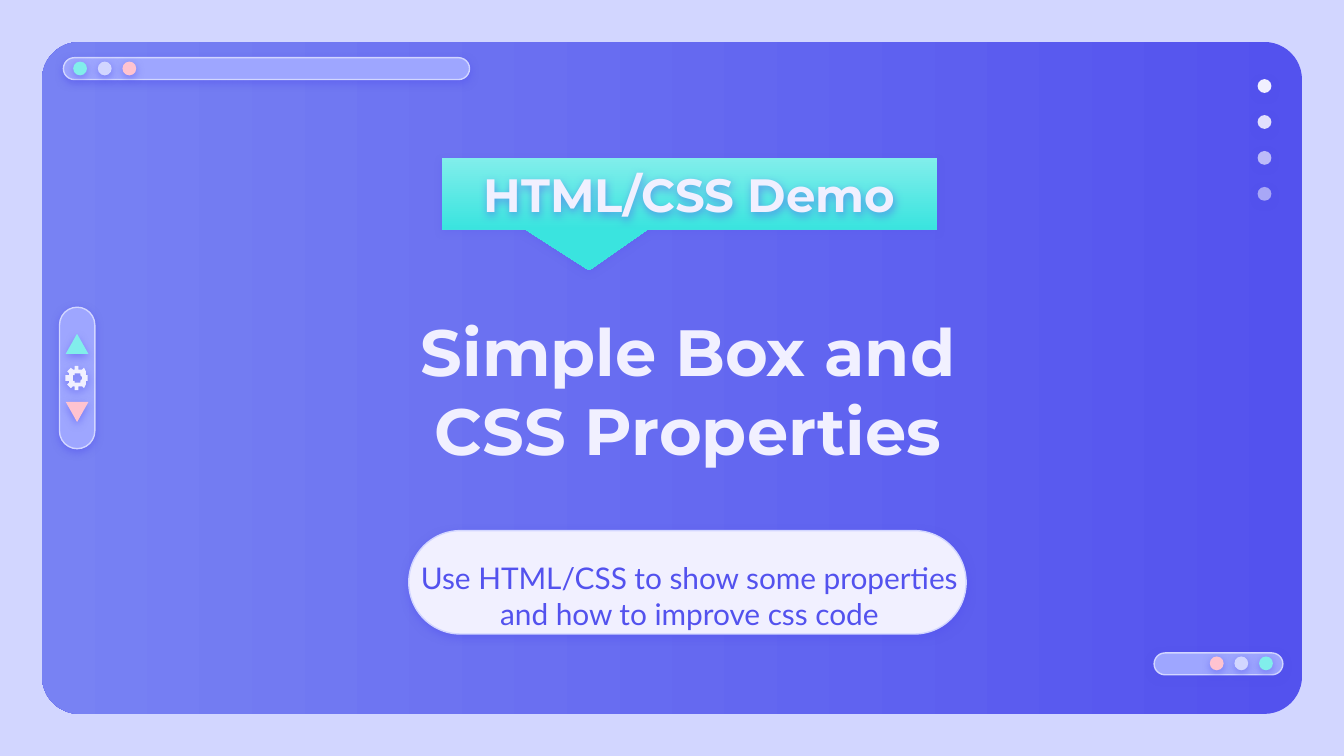
import math

import pptx
import pptx.dml.color
import pptx.enum.shapes
import pptx.enum.text
import pptx.oxml
import pptx.oxml.ns
import pptx.util

Pt = pptx.util.Pt
SHAPE = pptx.enum.shapes.MSO_SHAPE

# Content: colours, texts and places, all lengths in points
COLORS = {
    "lavender": "D2D6FF", "indigo": "5352EE", "violet": "7882F3",
    "periwinkle": "9EA6FF", "mint": "81EEEB", "teal": "3AE4DF",
    "pink": "FFC3D0", "white": "F1F0FF",
}
TEXTS = [
    # text, box, font format, space after, shadow
    ("Simple Box and CSS Properties", (214.6, 151.2, 308.2, 115.2),
     {"name": "Montserrat", "size": Pt(35), "bold": True}, "white", 0, False),
    ("HTML/CSS Demo", (236.9, 84.5, 265, 38.2),
     {"name": "Montserrat", "size": Pt(25), "bold": True}, "white", 0, True),
    ("Use HTML/CSS to show some properties and how to improve css code",
     (215.3, 291.6, 308.2, 55.4),
     {"name": "Lato", "size": Pt(16), "bold": False}, "indigo", 16, False),
]
PANEL = (22.5, 22.5, 675, 360)
CALLOUT = (236.9, 84.5, 265, 38.2)
PILLS = [
    ((34, 30.9, 217.6, 11.7), "periwinkle"),    # top bar
    ((618.3, 349.8, 69, 11.7), "periwinkle"),   # bottom bar
    ((31.9, 164.6, 18.9, 75.8), "periwinkle"),  # side control
    ((219, 284.3, 298.6, 55.4), "white"),       # subtitle plate
]
DOT = 7.4
DOT_ROWS = [
    # first centre, step, (colour, opacity) of each dot
    ((42.9, 36.7), (13.2, 0), [("mint", 100), ("lavender", 100), ("pink", 100)]),
    ((651.8, 355.4), (13.2, 0), [("pink", 100), ("lavender", 100), ("mint", 100)]),
    ((677.4, 46.1), (0, 19.25),
     [("white", 100), ("white", 90), ("white", 67), ("white", 54)]),
]
ARROWS = [(178.8, 0, "mint"), (215.3, 180, "pink")]
GEAR = {"centre": (41.3, 202.5), "teeth": 8, "tip": 6.2, "root": 4.9, "hole": 2.45}

prs = pptx.Presentation()
prs.slide_width, prs.slide_height = Pt(720), Pt(405)
slide = prs.slides.add_slide(prs.slide_layouts[6])


def rgb(name):
    return pptx.dml.color.RGBColor.from_string(COLORS[name])


def add_shadow(shape, opacity=50):
    shape.shadow.inherit = False
    effects = shape._element.spPr.find(pptx.oxml.ns.qn("a:effectLst"))
    effects.append(pptx.oxml.parse_xml(
        f'<a:outerShdw {pptx.oxml.ns.nsdecls("a")} blurRad="{Pt(4.5)}" '
        f'dist="{Pt(1.5)}" dir="5400000" algn="bl" rotWithShape="0">'
        f'<a:srgbClr val="{COLORS["indigo"]}"><a:alpha val="{opacity * 1000}"/>'
        f'</a:srgbClr></a:outerShdw>'))


def paint(shape, color, outlined=False, opacity=100):
    shape.fill.solid()
    shape.fill.fore_color.rgb = rgb(color)
    if opacity < 100:
        tint = shape._element.spPr.find(".//" + pptx.oxml.ns.qn("a:srgbClr"))
        tint.append(pptx.oxml.parse_xml(
            f'<a:alpha {pptx.oxml.ns.nsdecls("a")} val="{opacity * 1000}"/>'))
    if outlined:
        shape.line.color.rgb = rgb("lavender")
        shape.line.width = Pt(0.75)
    else:
        shape.line.fill.background()
    add_shadow(shape)


def paint_gradient(shape, colors, angle):
    shape.fill.gradient()
    shape.fill.gradient_angle = angle
    for stop, color in zip(shape.fill.gradient_stops, colors):
        stop.color.rgb = rgb(color)
    shape.line.fill.background()
    shape.shadow.inherit = False


def add_preset(kind, box, adjustments=()):
    shape = slide.shapes.add_shape(kind, *map(Pt, box))
    for i, value in enumerate(adjustments):
        shape.adjustments[i] = value
    return shape


def polar(radius, degrees):
    x, y = GEAR["centre"]
    turn = math.radians(degrees)
    return x + radius * math.cos(turn), y + radius * math.sin(turn)


# Background and panel
slide.background.fill.solid()
slide.background.fill.fore_color.rgb = rgb("lavender")
panel = add_preset(SHAPE.ROUNDED_RECTANGLE, PANEL, [0.056])
paint_gradient(panel, ("indigo", "violet"), 180)

# Bars and plates
for box, color in PILLS:
    paint(add_preset(SHAPE.ROUNDED_RECTANGLE, box, [0.5]), color, outlined=True)

# Rows of dots
for (x, y), (dx, dy), dots in DOT_ROWS:
    for i, (color, opacity) in enumerate(dots):
        box = (x + i * dx - DOT / 2, y + i * dy - DOT / 2, DOT, DOT)
        paint(add_preset(SHAPE.OVAL, box), color, opacity=opacity)

# Callout
callout = add_preset(SHAPE.ROUNDED_RECTANGULAR_CALLOUT, CALLOUT, [-0.203, 1.08, 0])
paint_gradient(callout, ("mint", "teal"), 270)
add_shadow(callout, 24)

# Side control: arrows and gear
for top, rotation, color in ARROWS:
    arrow = add_preset(SHAPE.ISOSCELES_TRIANGLE, (35.2, top, 12.2, 10.8))
    arrow.rotation = rotation
    paint(arrow, color)

pitch = 360 / GEAR["teeth"]
rim = [polar(GEAR[radius], tooth * pitch + offset)
       for tooth in range(GEAR["teeth"])
       for radius, offset in (("root", -14), ("tip", -11), ("tip", 11), ("root", 14))]
hole = [polar(GEAR["hole"], -angle) for angle in range(0, 360, 15)]
outline = slide.shapes.build_freeform(*rim[0], scale=float(Pt(1)))
outline.add_line_segments(rim[1:], close=True)
outline.move_to(*hole[0])
outline.add_line_segments(hole[1:], close=True)
paint(outline.convert_to_shape(), "white")

# Texts
for text, box, font, color, space_after, shadowed in TEXTS:
    caption = slide.shapes.add_textbox(*map(Pt, box))
    frame = caption.text_frame
    frame_format = {"word_wrap": True,
                    "vertical_anchor": pptx.enum.text.MSO_ANCHOR.MIDDLE}
    frame_format.update({f"margin_{side}": Pt(7.2)
                         for side in ("left", "top", "right", "bottom")})
    for key, value in frame_format.items():
        setattr(frame, key, value)
    paragraph = frame.paragraphs[0]
    paragraph.alignment = pptx.enum.text.PP_ALIGN.CENTER
    paragraph.space_after = Pt(space_after)
    run = paragraph.add_run()
    run.text = text
    for key, value in font.items():
        setattr(run.font, key, value)
    run.font.color.rgb = rgb(color)
    if shadowed:
        add_shadow(caption)

prs.save("out.pptx")
